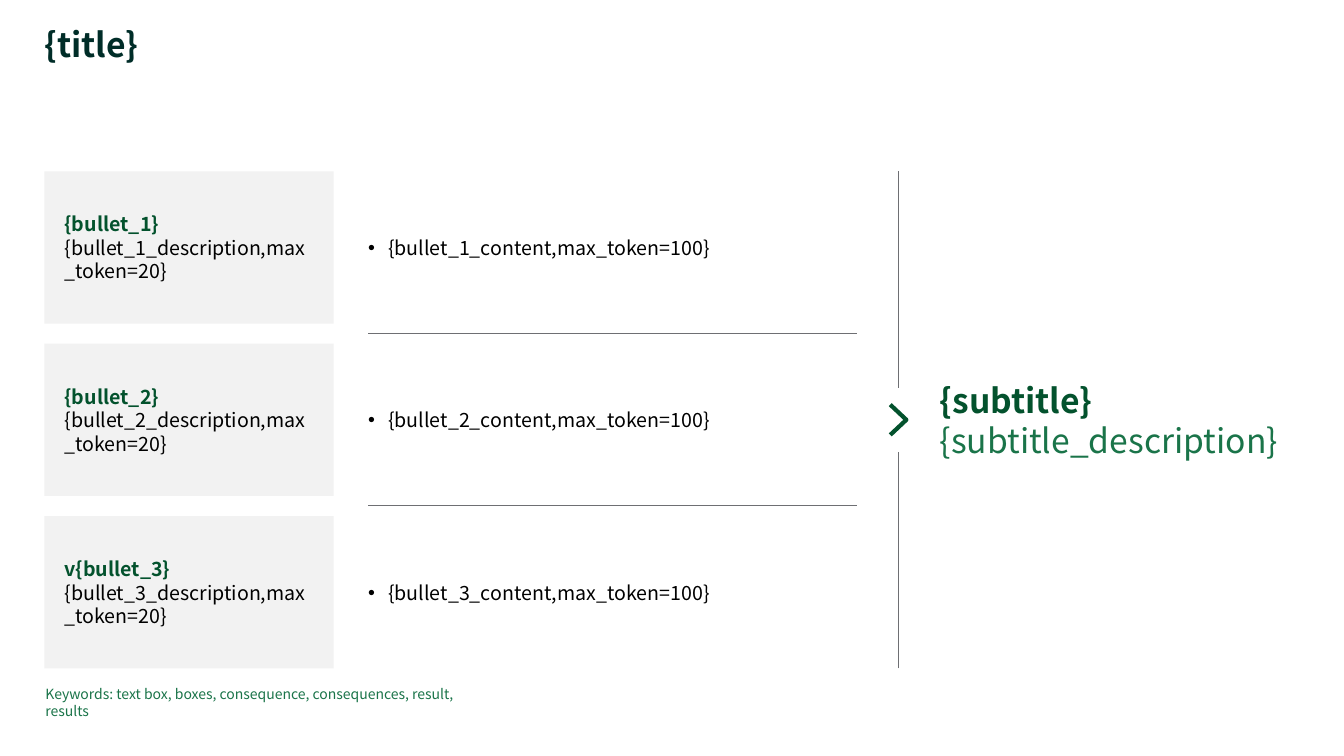
from pptx import Presentation
from pptx.dml.color import RGBColor
from pptx.enum.shapes import MSO_CONNECTOR as CONN, MSO_SHAPE as SHAPE
from pptx.enum.text import MSO_ANCHOR as ANCHOR, PP_ALIGN as ALIGN
from pptx.oxml.ns import qn
from pptx.util import Inches, Pt
from lxml.etree import SubElement

FONT = "Noto Sans CJK JP"
INK, GREEN, MID_GREEN = "002D28", "03522D", "1A7449"
BLACK, GREY, PALE = "000000", "6E6F73", "F2F2F2"

LEFT, TOP = 0.44, 1.7
ROW_H, GAP, ROWS = 1.51, 0.2, 3
PITCH = ROW_H + GAP
BOTTOM = TOP + ROWS * PITCH - GAP
MIDDLE = (TOP + BOTTOM) / 2
LABEL_W = 2.87
CONTENT_X, CONTENT_W = 3.65, 4.85
DIVIDER_X = 8.91
RESULT_X, RESULT_W = 9.32, 3.61


def rgb(color):
    return RGBColor.from_string(color)


def row_top(row):
    return TOP + row * PITCH


class Deck:
    def __init__(self):
        self.prs = Presentation()
        self.prs.slide_width, self.prs.slide_height = Inches(13.33), Inches(7.5)
        self.s = self.prs.slides.add_slide(self.prs.slide_layouts[6])

    def frame(self, sp, margins=(0, 0), anchor=ANCHOR.MIDDLE):
        tf = sp.text_frame
        tf.word_wrap, tf.vertical_anchor = True, anchor
        tf.margin_left = tf.margin_right = Inches(margins[0])
        tf.margin_top = tf.margin_bottom = Inches(margins[1])
        return tf

    def font(self, target, size, color, bold=False):
        f = target.font
        f.name, f.size, f.bold = FONT, Pt(size), bold
        f.color.rgb = rgb(color)

    def text(self, x, y, w, h, text, size, color, bold=False, anchor=ANCHOR.MIDDLE):
        """Add a one-paragraph text box and return its paragraph."""
        sp = self.s.shapes.add_textbox(*map(Inches, (x, y, w, h)))
        p = self.frame(sp, anchor=anchor).paragraphs[0]
        p.text = text
        self.font(p, size, color, bold)
        return p

    def label(self, row, heading, description):
        sp = self.s.shapes.add_shape(
            SHAPE.RECTANGLE, *map(Inches, (LEFT, row_top(row), LABEL_W, ROW_H)))
        sp.shadow.inherit = False
        sp.fill.solid()
        sp.fill.fore_color.rgb = rgb(PALE)
        sp.line.fill.background()
        tf = self.frame(sp, (0.2, 0.16))
        tf.text = f"{heading}\n{description}"
        for p, color in zip(tf.paragraphs, (GREEN, BLACK)):
            p.alignment = ALIGN.LEFT
            self.font(p, 14, color, color == GREEN)

    def bullet(self, row, text):
        p = self.text(CONTENT_X, row_top(row), CONTENT_W, ROW_H, text, 14, BLACK)
        p.space_before = Pt(6)
        pPr = p._p.get_or_add_pPr()
        pPr.set("marL", str(Inches(0.2)))
        pPr.set("indent", str(-Inches(0.2)))
        SubElement(pPr, qn("a:buFont"), typeface="Arial")
        SubElement(pPr, qn("a:buChar"), char="•")

    def line(self, x1, y1, x2, y2):
        c = self.s.shapes.add_connector(CONN.STRAIGHT, *map(Inches, (x1, y1, x2, y2)))
        c.line.color.rgb, c.line.width = rgb(GREY), Pt(0.75)
        SubElement(c._element.spPr, qn("a:effectLst"))

    def chevron(self, x, y, w, h):
        """Draw an open chevron pointing right, centred on x, y."""
        left, right = x - w / 2, x + w / 2
        fb = self.s.shapes.build_freeform(Inches(left), Inches(y - h / 2))
        fb.add_line_segments([(Inches(right), Inches(y)),
                              (Inches(left), Inches(y + h / 2))], close=False)
        sp = fb.convert_to_shape()
        sp.shadow.inherit = False
        sp.fill.background()
        sp.line.color.rgb, sp.line.width = rgb(GREEN), Pt(3)

    def result(self, heading, description):
        p = self.text(RESULT_X, TOP, RESULT_W, BOTTOM - TOP, heading, 24, GREEN, True)
        p.space_after = Pt(6)
        p.add_line_break()
        r = p.add_run()
        r.text = description
        self.font(r, 24, MID_GREEN)


def main():
    deck = Deck()
    title = deck.text(LEFT, 0.28, 11.03, 0.37, "{title}", 24, INK, True, ANCHOR.TOP)
    title.line_spacing = 0.9

    for row, heading in enumerate(("{bullet_1}", "{bullet_2}", "v{bullet_3}")):
        name = f"bullet_{row + 1}"
        deck.label(row, heading, f"{{{name}_description,max_token=20}}")
        deck.bullet(row, f"{{{name}_content,max_token=100}}")
        if row:
            y = row_top(row) - GAP / 2
            deck.line(CONTENT_X, y, CONTENT_X + CONTENT_W, y)

    for end, side in ((TOP, -1), (BOTTOM, 1)):
        deck.line(DIVIDER_X, end, DIVIDER_X, MIDDLE + side * 0.32)
    deck.chevron(DIVIDER_X, MIDDLE, 0.16, 0.3)

    deck.result("{subtitle}", "{subtitle_description}")
    deck.text(LEFT + 0.01, 6.8, 4.41, 0.17,
              "Keywords: text box, boxes, consequence, consequences, result, results",
              10, MID_GREEN, anchor=ANCHOR.TOP)
    deck.prs.save("out.pptx")


if __name__ == "__main__":
    main()
